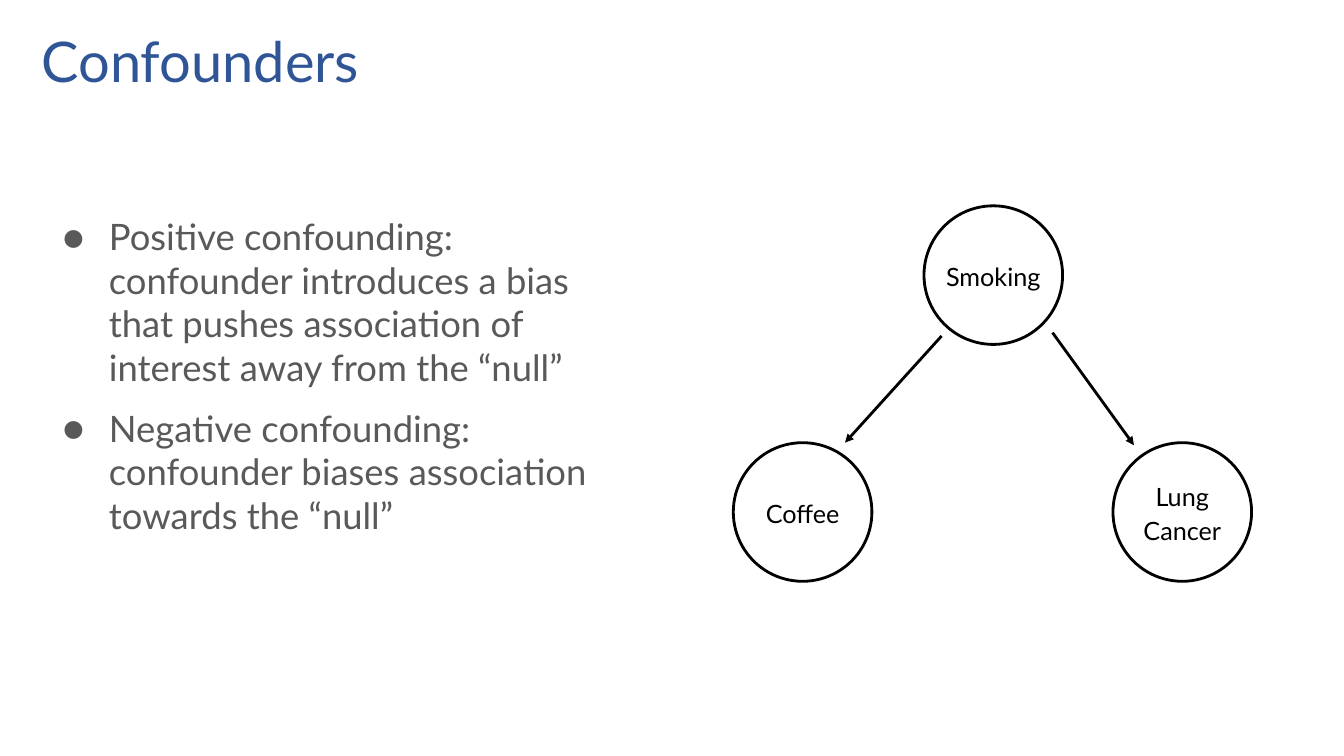
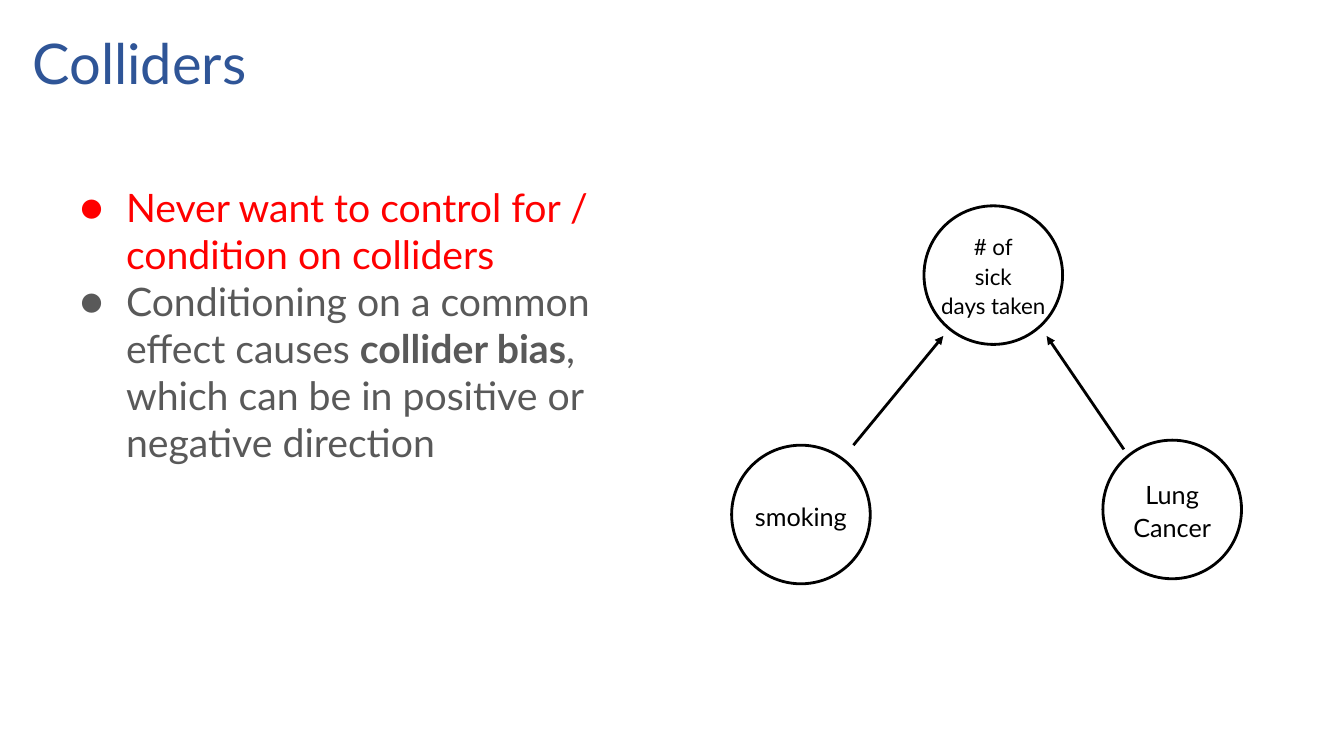
import pptx
import pptx.util
import pptx.dml.color
import pptx.enum.shapes
import pptx.enum.text
import pptx.oxml.ns
import lxml.etree

RGBColor = pptx.dml.color.RGBColor
BLUE = RGBColor(0x2F, 0x55, 0x97)
GRAY = RGBColor(0x59, 0x59, 0x59)
RED = RGBColor(0xFF, 0x00, 0x00)
BLACK = RGBColor(0x00, 0x00, 0x00)

FONT = "Lato"
COLUMNS, ROWS = 160, 90
CIRCLE = 16.5
INSET = 1.6


class Deck:
    def __init__(self):
        self.prs = pptx.Presentation()
        self.prs.slide_width = pptx.util.Inches(13.33)
        self.prs.slide_height = pptx.util.Inches(7.5)
        self.s = None

    def x(self, columns):
        return round(self.prs.slide_width * columns / COLUMNS)

    def y(self, rows):
        return round(self.prs.slide_height * rows / ROWS)

    def add(self, parent, tag, **attributes):
        child = lxml.etree.SubElement(parent, pptx.oxml.ns.qn(tag))
        for name, value in attributes.items():
            child.set(name, value)
        return child

    def style(self, p, size, color):
        p.font.name = FONT
        p.font.size = pptx.util.Pt(size)
        p.font.color.rgb = color

    def place(self, sp, left, top, width, height):
        sp.left, sp.top = self.x(left), self.y(top)
        sp.width, sp.height = self.x(width), self.y(height)
        tf = sp.text_frame
        tf.word_wrap = True
        tf.auto_size = pptx.enum.text.MSO_AUTO_SIZE.NONE
        tf.margin_left = tf.margin_right = self.x(INSET)
        tf.margin_top = tf.margin_bottom = self.y(INSET)
        return tf

    def slide(self, title, left, top):
        self.s = self.prs.slides.add_slide(self.prs.slide_layouts[1])
        tf = self.place(self.s.shapes.title, left, top, 149, 10.1)
        p = tf.paragraphs[0]
        p.text = title
        p.alignment = pptx.enum.text.PP_ALIGN.LEFT
        p.line_spacing = 0.9
        self.style(p, 40, BLUE)

    def bullets(self, left, top, size, gap, items):
        tf = self.place(self.s.placeholders[1], left, top, 72.6, 61)
        for i, (color, runs) in enumerate(items):
            p = tf.paragraphs[0] if i == 0 else tf.add_paragraph()
            p.space_before = pptx.util.Pt(gap if i else 0)
            pPr = p._p.get_or_add_pPr()
            pPr.set("marL", str(self.x(8)))
            pPr.set("indent", str(-self.x(5.5)))
            self.add(self.add(pPr, "a:buClr"), "a:srgbClr", val=str(color))
            self.add(pPr, "a:buFont", typeface=FONT)
            self.add(pPr, "a:buChar", char="●")
            self.style(p, size, color)
            for text, bold in runs:
                r = p.add_run()
                r.text = text
                if bold:
                    r.font.bold = True

    def circle(self, left, top, *lines, size=18):
        sp = self.s.shapes.add_shape(
            pptx.enum.shapes.MSO_SHAPE.OVAL,
            self.x(left), self.y(top), self.x(CIRCLE), self.y(CIRCLE))
        sp.shadow.inherit = False
        sp.fill.background()
        sp.line.color.rgb = BLACK
        sp.line.width = pptx.util.Pt(2)
        tf = sp.text_frame
        tf.margin_left = tf.margin_right = tf.margin_top = tf.margin_bottom = 0
        tf.vertical_anchor = pptx.enum.text.MSO_ANCHOR.MIDDLE
        tf.word_wrap = len(lines) == 1
        for i, line in enumerate(lines):
            p = tf.paragraphs[0] if i == 0 else tf.add_paragraph()
            p.text = line
            p.alignment = pptx.enum.text.PP_ALIGN.CENTER
            p.line_spacing = 1.1
            self.style(p, size, BLACK)

    def arrow(self, x1, y1, x2, y2):
        c = self.s.shapes.add_connector(
            pptx.enum.shapes.MSO_CONNECTOR.STRAIGHT,
            self.x(x1), self.y(y1), self.x(x2), self.y(y2))
        c.line.color.rgb = BLACK
        c.line.width = pptx.util.Pt(2)
        self.add(c.line._get_or_add_ln(), "a:tailEnd", type="triangle")
        self.add(c._element.spPr, "a:effectLst")


def main():
    d = Deck()

    d.slide("Confounders", 3.36, 2.64)
    d.bullets(3.36, 23.9, 26, 12, [
        (GRAY, [("Positive confounding: confounder introduces a bias that pushes "
                 "association of interest away from the “null”", False)]),
        (GRAY, [("Negative confounding: confounder biases association towards "
                 "the “null”", False)]),
    ])
    d.circle(87.3, 52.7, "Coffee")
    d.circle(132.5, 52.7, "Lung Cancer")
    d.circle(110, 24.5, "Smoking")
    d.arrow(112.1, 40, 100.6, 52.7)
    d.arrow(125.3, 39.6, 135, 53)

    d.slide("Colliders", 2.28, 2.88)
    d.bullets(5.4, 20.2, 28, 0, [
        (RED, [("Never want to control for / condition on colliders", False)]),
        (GRAY, [("Conditioning on a common effect causes ", False),
                ("collider bias", True),
                (", which can be in positive or negative direction", False)]),
    ])
    d.circle(87.1, 53, "smoking")
    d.circle(131.3, 52.4, "Lung Cancer")
    d.circle(110, 24.5, "# of", "sick", "days taken", size=16)
    d.arrow(101.6, 53, 112.3, 40)
    d.arrow(133.8, 53.5, 124.6, 40)

    d.prs.save("out.pptx")


if __name__ == "__main__":
    main()
